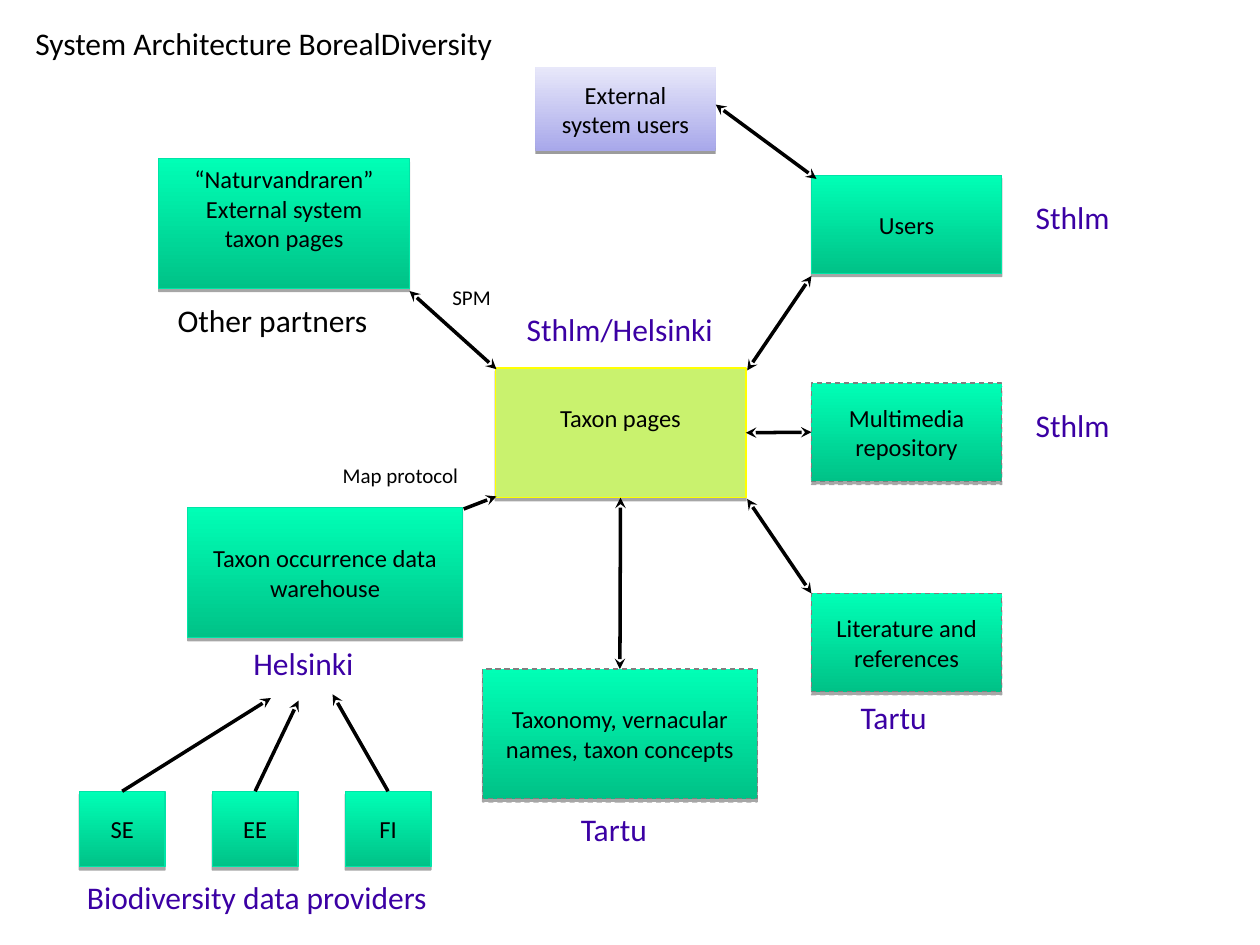
import pptx
import pptx.dml.color
import pptx.enum.dml
import pptx.enum.shapes
import pptx.enum.text
import pptx.oxml
import pptx.oxml.ns
import pptx.util
from lxml import etree

Inches = pptx.util.Inches
Pt = pptx.util.Pt
qn = pptx.oxml.ns.qn

COLORS = {
    "black": "000000",
    "place": "3B00A4",
    "green_low": "00C287",
    "green_high": "00FFB6",
    "green_edge": "00E4A7",
    "lilac_low": "A8A8EA",
    "lilac_high": "E8E8FA",
    "lime": "C9F26E",
    "yellow": "FFFF00",
    "gray": "7F7F7F",
}

STYLES = {
    "core": {"fill": ["lime"], "edge": "yellow", "dash": False, "shadow": (1.8, 35)},
    "own": {"fill": ["green_low", "green_high"], "edge": "green_edge", "dash": False, "shadow": (1.8, 35)},
    "planned": {"fill": ["green_low", "green_high"], "edge": "gray", "dash": True, "shadow": (1.8, 35)},
    "external": {"fill": ["lilac_low", "lilac_high"], "edge": None, "dash": False, "shadow": (1.6, 38)},
}

LARGE, WIDE, SIDE = (1.99, 1.03), (2.18, 1.03), (1.51, 0.78)
SIDE_LEFT = 6.44
RAISED = 0.24

COMPONENTS = {
    "taxon": (["Taxon pages"], "core", (3.93, 2.92), LARGE, RAISED),
    "media": (["Multimedia repository"], "planned", (SIDE_LEFT, 3.04), SIDE, 0),
    "literature": (["Literature and references"], "planned", (SIDE_LEFT, 4.71), SIDE, 0),
    "taxonomy": (["Taxonomy, vernacular names, taxon concepts"], "planned", (3.83, 5.31), WIDE, 0),
    "warehouse": (["Taxon occurrence data warehouse"], "own", (1.49, 4.03), WIDE, 0),
    "users": (["Users"], "own", (SIDE_LEFT, 1.39), SIDE, 0),
    "partner": (["“Naturvandraren”", "External system", "taxon pages"], "own", (1.26, 1.26), LARGE, RAISED),
    "external": (["External", "system users"], "external", (4.25, 0.53), (1.43, 0.67), 0),
}

PROVIDERS = ["SE", "EE", "FI"]
PROVIDER_LEFT, PROVIDER_TOP, PROVIDER_STEP = 0.63, 6.28, 1.055
for index, country in enumerate(PROVIDERS):
    left = PROVIDER_LEFT + index * PROVIDER_STEP
    COMPONENTS[country] = ([country], "own", (left, PROVIDER_TOP), (0.68, 0.6), 0)

LABELS = [
    ("System Architecture BorealDiversity", (0.24, 0.19, 4.27, 0.42), 18, "black"),
    ("Helsinki", (1.97, 5.11, 0.88, 0.3), 18, "place"),
    ("Tartu", (4.57, 6.43, 0.63, 0.3), 18, "place"),
    ("Tartu", (6.79, 5.54, 0.63, 0.3), 18, "place"),
    ("Other partners", (1.37, 2.39, 1.6, 0.3), 18, "black"),
    ("Sthlm/Helsinki", (4.14, 2.46, 1.57, 0.3), 18, "place"),
    ("Sthlm", (8.18, 1.57, 0.68, 0.3), 18, "place"),
    ("Sthlm", (8.18, 3.22, 0.68, 0.3), 18, "place"),
    ("Map protocol", (2.68, 3.67, 1.01, 0.2), 12, "black"),
    ("SPM", (3.55, 2.26, 0.39, 0.2), 12, "black"),
    ("Biodiversity data providers", (0.65, 6.97, 2.81, 0.3), 18, "place"),
]

TOP, LEFT, BOTTOM, RIGHT = range(4)
BOTH, HEAD = ("headEnd", "tailEnd"), ("headEnd",)

FLOWS = [
    ((3.94, 3.94), (3.68, 4.04), HEAD),
    (("taxon", BOTTOM), ("taxonomy", TOP), BOTH),
    (("taxon", RIGHT), ("media", LEFT), BOTH),
    ((5.93, 3.96), (6.44, 4.71), BOTH),
    ((5.93, 2.94), (6.44, 2.19), BOTH),
    ((3.25, 2.31), (3.94, 2.93), BOTH),
    ((6.48, 1.42), (5.68, 0.83), BOTH),
    ((2.15, 5.54), ("SE", TOP), HEAD),
    ((2.37, 5.56), ("EE", TOP), HEAD),
    ((2.64, 5.51), ("FI", TOP), HEAD),
]


def rgb(name):
    return pptx.dml.color.RGBColor.from_string(COLORS[name])


def write(frame, lines, size, color, align, bottom=0):
    frame.margin_left = frame.margin_top = 0
    frame.margin_right, frame.margin_bottom = Inches(0.04), Inches(bottom)
    for number, line in enumerate(lines):
        paragraph = frame.add_paragraph() if number else frame.paragraphs[0]
        paragraph.alignment = align
        paragraph._p.get_or_add_pPr().set("marL", str(Inches(0.04)))
        run = paragraph.add_run()
        run.text = line
        run.font.name = "Calibri"
        run.font.size = Pt(size)
        run.font.color.rgb = rgb(color)


def add_shadow(component, distance, opacity):
    component.shadow.inherit = False
    effects = component._element.spPr.find(qn("a:effectLst"))
    shadow = etree.SubElement(effects, qn("a:outerShdw"), blurRad="0", dist=str(Pt(distance)),
                              dir="5400000", algn="ctr", rotWithShape="0")
    color = etree.SubElement(shadow, qn("a:srgbClr"), val=COLORS["black"])
    etree.SubElement(color, qn("a:alpha"), val=str(opacity * 1000))


def add_component(slide, lines, style_name, position, size, bottom):
    style = STYLES[style_name]
    component = slide.shapes.add_shape(
        pptx.enum.shapes.MSO_SHAPE.RECTANGLE, *map(Inches, position + size))
    if len(style["fill"]) == 1:
        component.fill.solid()
        component.fill.fore_color.rgb = rgb(style["fill"][0])
    else:
        component.fill.gradient()
        component.fill.gradient_angle = 90
        for stop, color in zip(component.fill.gradient_stops, style["fill"]):
            stop.color.rgb = rgb(color)
    if style["edge"]:
        component.line.color.rgb = rgb(style["edge"])
        component.line.width = Pt(0.75)
    else:
        component.line.fill.background()
    if style["dash"]:
        component.line.dash_style = pptx.enum.dml.MSO_LINE.DASH
    add_shadow(component, *style["shadow"])
    frame = component.text_frame
    frame.word_wrap = True
    frame.vertical_anchor = pptx.enum.text.MSO_ANCHOR.MIDDLE
    write(frame, lines, 14, "black", pptx.enum.text.PP_ALIGN.CENTER, bottom)
    return component


def add_label(slide, text, box, size, color):
    frame = slide.shapes.add_textbox(*map(Inches, box)).text_frame
    frame.word_wrap = False
    write(frame, [text], size, color, pptx.enum.text.PP_ALIGN.LEFT)


def add_flow(slide, components, start, end, arrowheads):
    joined = [isinstance(place[0], str) for place in (start, end)]
    points = [(0, 0) if is_joined else place for place, is_joined in zip((start, end), joined)]
    flow = slide.shapes.add_connector(
        pptx.enum.shapes.MSO_CONNECTOR.STRAIGHT, *map(Inches, points[0] + points[1]))
    if joined[0]:
        flow.begin_connect(components[start[0]], start[1])
    if joined[1]:
        flow.end_connect(components[end[0]], end[1])
    flow.line.color.rgb = rgb("black")
    flow.line.width = Pt(2)
    properties = flow._element.spPr
    outline = properties.find(qn("a:ln"))
    for arrowhead in arrowheads:
        etree.SubElement(outline, qn("a:" + arrowhead), type="stealth")
    etree.SubElement(properties, qn("a:effectLst"))


def main():
    presentation = pptx.Presentation()
    presentation.slide_width, presentation.slide_height = Inches(10), Inches(7.5)
    slide = presentation.slides.add_slide(presentation.slide_layouts[6])
    components = {name: add_component(slide, *details) for name, details in COMPONENTS.items()}
    for flow in FLOWS:
        add_flow(slide, components, *flow)
    for label in LABELS:
        add_label(slide, *label)
    presentation.save("out.pptx")


if __name__ == "__main__":
    main()
